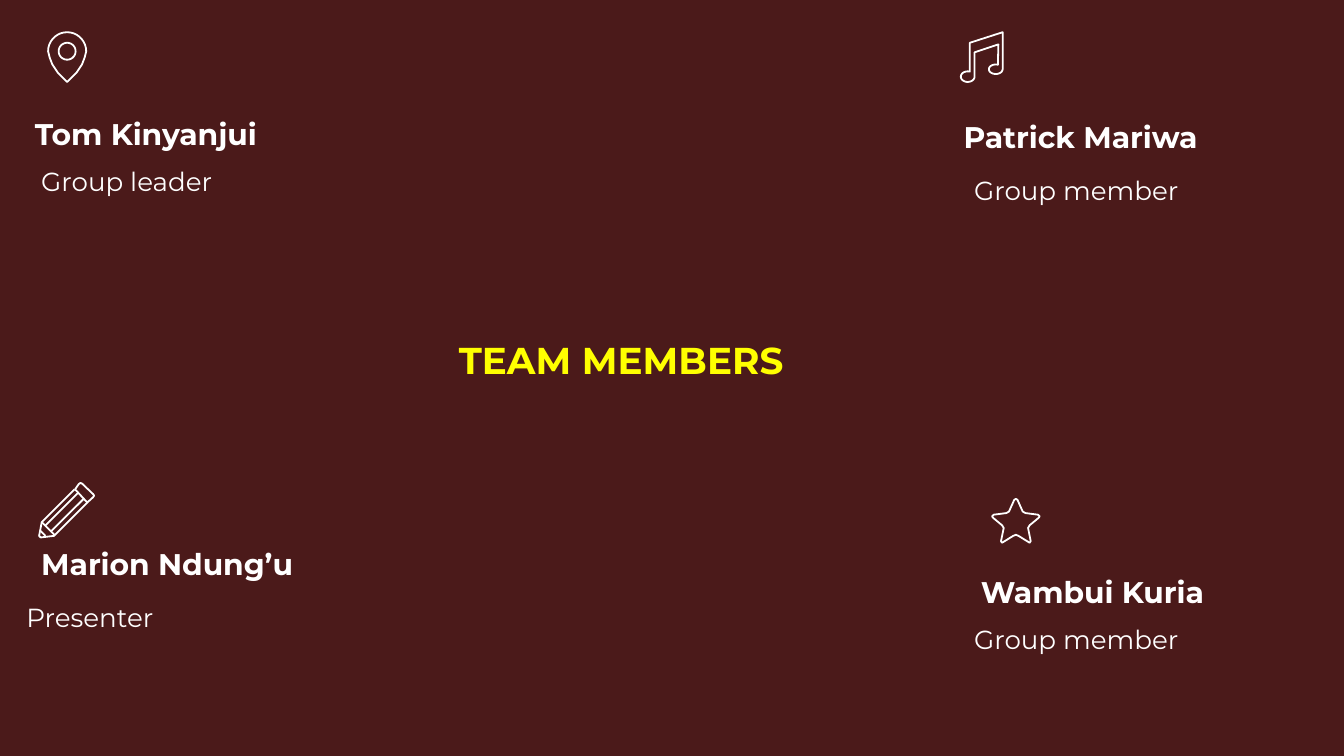
from dataclasses import dataclass
from math import cos, radians, sin

from lxml.etree import SubElement
from pptx import Presentation
from pptx.dml.color import RGBColor as Rgb
from pptx.enum.shapes import MSO_CONNECTOR as Link
from pptx.enum.text import MSO_ANCHOR as Anchor, MSO_AUTO_SIZE as Fit, PP_ALIGN as Align
from pptx.oxml.ns import qn
from pptx.util import Cm, Pt

COLORS = {"back": "4B1A1A", "title": "FFFF00", "ink": "FFFFFF"}
FONT = "Montserrat"
STROKE = Pt(0.96)
Point = tuple[float, float]


@dataclass
class Label:
    text: str
    left: float
    top: float
    width: float
    indent: float = 0


@dataclass
class Member:
    name: Label
    role: Label


MEMBERS = [
    Member(Label("Tom Kinyanjui", 0.41, 2.06, 5.26),
           Label("Group leader", 0.28, 3.0, 6.15, 0.25)),
    Member(Label("Patrick Mariwa", 17.96, 2.11, 5.54),
           Label("Group member", 18.16, 3.18, 6.15)),
    Member(Label("Marion Ndung’u", 0.53, 10.19, 6.22),
           Label("Presenter", 0.25, 11.25, 6.15)),
    Member(Label("Wambui Kuria", 18.29, 10.72, 5.21),
           Label("Group member", 18.16, 11.66, 6.15)),
]


def style(frame, text: str, size: float, color: str, bold: bool) -> None:
    frame.text = text
    frame.word_wrap = True
    frame.auto_size = Fit.SHAPE_TO_FIT_TEXT
    frame.vertical_anchor = Anchor.TOP
    font = frame.paragraphs[0].runs[0].font
    font.name, font.size, font.bold = FONT, Pt(size), bold
    font.color.rgb = Rgb.from_string(COLORS[color])


def write(slide, label: Label, height: float, size: float, bold: bool) -> None:
    box = slide.shapes.add_textbox(
        Cm(label.left), Cm(label.top), Cm(label.width), Cm(height))
    style(box.text_frame, label.text, size, "ink", bold)
    box.text_frame.margin_left = Cm(0.25 + label.indent)


def arc(x: float, y: float, wide: float, high: float,
        start: int, end: int) -> list[Point]:
    step = 10 if end > start else -10
    turns = [radians(a) for a in range(start, end, step)] + [radians(end)]
    return [(x + wide * cos(t), y + high * sin(t)) for t in turns]


def mirror(half: list[Point]) -> list[Point]:
    """Complete a right half, which starts and ends on its axis."""
    axis = half[0][0]
    return half + [(2 * axis - x, y) for x, y in half[-2:0:-1]]


def outline(slide, *loops: list[Point], close: bool = True) -> None:
    paths = [[(Cm(x), Cm(y)) for x, y in loop] for loop in loops]
    pen = slide.shapes.build_freeform(*paths[0][0])
    for i, points in enumerate(paths):
        if i:
            pen.move_to(*points[0])
        pen.add_line_segments(points[1:], close=close)
    shape = pen.convert_to_shape()
    shape.fill.background()
    shape.shadow.inherit = False
    ink(shape)


def stroke(slide, start: Point, end: Point) -> None:
    line = slide.shapes.add_connector(
        Link.STRAIGHT, *(Cm(v) for v in start + end))
    ink(line)
    SubElement(line._element.spPr, qn("a:effectLst"))


def ink(shape) -> None:
    shape.line.color.rgb = Rgb.from_string(COLORS["ink"])
    shape.line.width = STROKE


def draw_pin(slide) -> None:
    side = [(1.6, 1.09), (1.55, 1.22), (1.45, 1.37), (1.35, 1.47), (1.27, 1.55)]
    edge = mirror(arc(1.27, 0.97, 0.36, 0.36, -90, 0) + side)
    outline(slide, edge, arc(1.27, 0.97, 0.16, 0.16, 0, 350))


def draw_note(slide) -> None:
    left = arc(18.29, 1.45, 0.13, 0.1, -72, -360)
    right = arc(18.82, 1.31, 0.13, 0.09, -72, -360)
    outline(slide, [(18.33, 0.81), *left, (18.42, 0.99), (18.87, 0.84),
                    *right, (18.95, 0.61)])


def draw_pencil(slide) -> None:
    # Eraser, then body
    outline(slide, [(1.42, 9.25), (1.65, 9.5), (1.76, 9.4), (1.78, 9.37),
                    (1.76, 9.34), (1.55, 9.14), (1.52, 9.13), (1.49, 9.15)])
    outline(slide, [(1.41, 9.25), (0.79, 9.87), (0.74, 10.13), (0.77, 10.16),
                    (1.02, 10.13), (1.04, 10.11), (1.65, 9.5)], close=False)
    # Ridges, lead and collar
    for start, end in [((1.58, 9.43), (0.97, 10.04)), ((0.86, 9.93), (1.47, 9.32)),
                       ((0.86, 10.13), (0.76, 10.03)), ((0.79, 9.87), (1.04, 10.12))]:
        stroke(slide, start, end)


def draw_star(slide) -> None:
    outline(slide, mirror([
        (19.2, 9.43), (19.23, 9.45), (19.33, 9.67), (19.38, 9.7), (19.62, 9.73),
        (19.65, 9.76), (19.63, 9.79), (19.46, 9.93), (19.43, 9.98),
        (19.48, 10.23), (19.46, 10.26), (19.25, 10.13), (19.2, 10.11)]))


def main() -> None:
    deck = Presentation()
    deck.slide_width, deck.slide_height = Cm(25.4), Cm(14.29)
    slide = deck.slides.add_slide(deck.slide_layouts[5])
    fill = slide.background.fill
    fill.solid()
    fill.fore_color.rgb = Rgb.from_string(COLORS["back"])

    # Title
    title = slide.shapes.title
    title.left, title.top = Cm(7.7), Cm(6.25)
    title.width, title.height = Cm(8.08), Cm(1.12)
    style(title.text_frame, "TEAM MEMBERS", 20, "title", True)
    title.text_frame.paragraphs[0].alignment = Align.CENTER

    # Members with their icons
    for member, draw in zip(MEMBERS, (draw_pin, draw_note, draw_pencil, draw_star)):
        write(slide, member.role, 0.86, 14, False)
        write(slide, member.name, 0.94, 16, True)
        draw(slide)

    deck.save("out.pptx")


if __name__ == "__main__":
    main()
